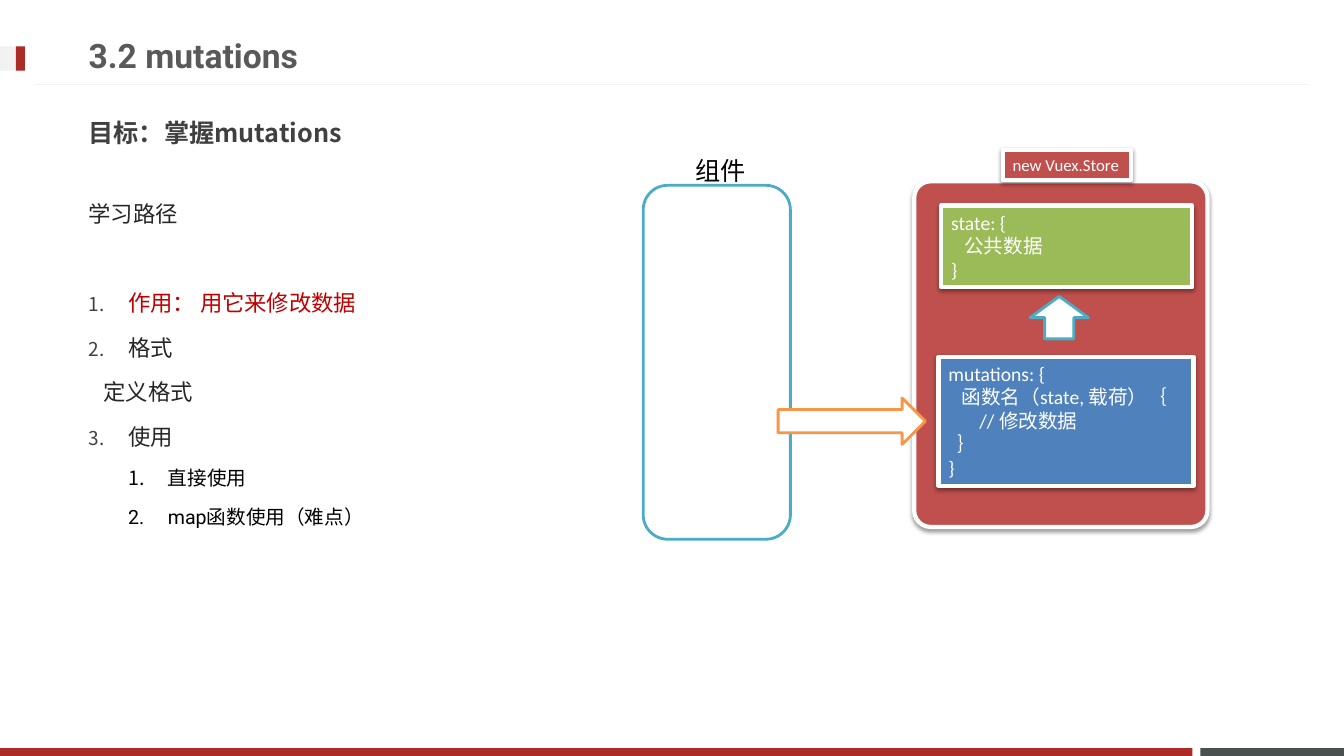
from dataclasses import dataclass

import pptx
import pptx.dml.color
import pptx.enum.shapes
import pptx.enum.text
import pptx.oxml
import pptx.oxml.ns
import pptx.util
from lxml import etree

Cm = pptx.util.Cm
Pt = pptx.util.Pt
qn = pptx.oxml.ns.qn
SHAPE = pptx.enum.shapes.MSO_SHAPE
ANCHOR = pptx.enum.text.MSO_ANCHOR


@dataclass(frozen=True)
class Theme:
    brand: str = "AD2B26"
    slate: str = "49504F"
    pale: str = "F2F2F2"
    heading: str = "595959"
    goal: str = "404040"
    body: str = "262626"
    accent: str = "C00000"
    black: str = "000000"
    white: str = "FFFFFF"
    store: str = "C0504D"
    state: str = "9BBB59"
    mutations: str = "4F81BD"
    component: str = "4BACC6"
    commit: str = "F79646"
    sans: str = "Noto Sans CJK JP"
    latin: str = "Roboto"
    code: str = "Calibri"
    title_size: int = 24
    goal_size: int = 18
    path_size: int = 16
    code_size: int = 14
    label_size: int = 12


THEME = Theme()


def rgb(value):
    return pptx.dml.color.RGBColor.from_string(value)


def style(paragraph, size, color, typeface, bold=False):
    paragraph.alignment = pptx.enum.text.PP_ALIGN.LEFT
    font = paragraph.font
    font.size = Pt(size)
    font.bold = bold
    font.color.rgb = rgb(color)
    font.name = typeface
    latin = paragraph._p.pPr.find(qn("a:defRPr")).find(qn("a:latin"))
    east_asian = etree.Element(qn("a:ea"), typeface=THEME.sans)
    latin.addnext(east_asian)


def write(frame, lines, size, color, typeface, bold=False, anchor=ANCHOR.TOP):
    frame.word_wrap = True
    frame.auto_size = pptx.enum.text.MSO_AUTO_SIZE.NONE
    frame.vertical_anchor = anchor
    for index, line in enumerate(lines):
        paragraph = frame.add_paragraph() if index else frame.paragraphs[0]
        paragraph.text = line
        style(paragraph, size, color, typeface, bold)


def add_text(slide, box, lines, *font, **options):
    textbox = slide.shapes.add_textbox(*map(Cm, box))
    write(textbox.text_frame, lines, *font, **options)


def add_block(slide, kind, box, fill, line=None, width=0):
    block = slide.shapes.add_shape(kind, *map(Cm, box))
    block.shadow.inherit = False
    block.fill.solid()
    block.fill.fore_color.rgb = rgb(fill)
    if line:
        block.line.color.rgb = rgb(line)
        block.line.width = Pt(width)
    else:
        block.line.fill.background()
    return block


def add_card(slide, kind, box, fill, lines=(), size=THEME.code_size):
    card = add_block(slide, kind, box, fill, THEME.white, 3)
    effects = card._element.spPr.find(qn("a:effectLst"))
    shadow = etree.SubElement(effects, qn("a:outerShdw"), blurRad=str(Pt(3.1)),
                              dist=str(Pt(1.6)), dir="5400000", rotWithShape="0")
    tint = etree.SubElement(shadow, qn("a:srgbClr"), val=THEME.black)
    etree.SubElement(tint, qn("a:alpha"), val="38000")
    if lines:
        write(card.text_frame, lines, size, THEME.white, THEME.code)
    return card


def number(paragraph, margin, start, marker_color=None):
    properties = paragraph._p.get_or_add_pPr()
    properties.set("marL", str(Cm(margin)))
    properties.set("indent", str(Cm(-1)))
    if marker_color:
        color = etree.SubElement(properties, qn("a:buClr"))
        etree.SubElement(color, qn("a:srgbClr"), val=marker_color)
        etree.SubElement(properties, qn("a:buSzPct"), val="85000")
    marker = etree.SubElement(properties, qn("a:buAutoNum"), type="arabicPeriod")
    if start > 1:
        marker.set("startAt", str(start))


def add_learning_path(slide):
    frame = slide.shapes.add_textbox(*map(Cm, (1.98, 4.57, 29.77, 11.71))).text_frame
    frame.word_wrap = True
    steps = [
        ("学习路径", 0, None, THEME.body, 0),
        ("作用： 用它来修改数据", 0, 1, THEME.accent, 35),
        ("格式", 0, 1, THEME.body, 3.2),
        ("定义格式", 0, None, THEME.body, 3.2),
        ("使用", 0, 3, THEME.body, 3.2),
        ("直接使用", 1, 1, THEME.black, 2.8),
        ("map函数使用（难点）", 1, 1, THEME.black, 2.8),
    ]
    for index, (text, level, start, color, space) in enumerate(steps):
        paragraph = frame.add_paragraph() if index else frame.paragraphs[0]
        paragraph.text = text
        paragraph.level = level
        paragraph.line_spacing = 1.5
        paragraph.space_before = Pt(space)
        if start:
            number(paragraph, level + 1, start, None if level else THEME.goal)
        elif index:
            paragraph._p.get_or_add_pPr().set("marL", str(Cm(0.38)))
        if level:
            style(paragraph, THEME.code_size, color, THEME.latin)
        else:
            style(paragraph, THEME.path_size, color, THEME.sans)


def add_frame(slide):
    for box, color in (
        ((30.25, 18.85, 3.62, 0.2), THEME.slate),
        ((0, 18.85, 30.05, 0.2), THEME.brand),
        ((0, 1.17, 0.63, 0.61), THEME.pale),
        ((0.4, 1.17, 0.23, 0.61), THEME.brand),
    ):
        add_block(slide, SHAPE.RECTANGLE, box, color)
    rule = slide.shapes.add_connector(pptx.enum.shapes.MSO_CONNECTOR.STRAIGHT,
                                      *map(Cm, (32.97, 2.13, 0.89, 2.13)))
    rule.line.color.rgb = rgb(THEME.pale)
    rule.line.width = Pt(0.75)
    etree.SubElement(rule._element.spPr, qn("a:effectLst"))


def add_title(slide):
    title = slide.shapes.title
    title.left, title.top, title.width, title.height = map(Cm, (1.98, 0.66, 24.36, 1.45))
    write(title.text_frame, ["3.2 mutations"], THEME.title_size, THEME.heading,
          THEME.latin, bold=True, anchor=ANCHOR.MIDDLE)


def add_store_diagram(slide):
    store = add_card(slide, SHAPE.ROUNDED_RECTANGLE, (23.04, 4.57, 7.39, 8.71), THEME.store)
    store.adjustments[0] = 0.056
    add_card(slide, SHAPE.RECTANGLE, (23.72, 5.18, 6.32, 2.06), THEME.state,
             ["state: {", "   公共数据", "}"])
    add_card(slide, SHAPE.RECTANGLE, (23.65, 8.99, 6.43, 3.25), THEME.mutations,
             ["mutations: {", "   函数名（state, 载荷）｛", "       // 修改数据", "  ｝", "}"])
    add_card(slide, SHAPE.RECTANGLE, (25.27, 3.78, 3.23, 0.76), THEME.store,
             ["new Vuex.Store"], THEME.label_size)
    for kind, box, line in (
        (SHAPE.UP_ARROW, (25.96, 7.47, 1.47, 1.07), THEME.component),
        (SHAPE.ROUNDED_RECTANGLE, (16.21, 4.67, 3.71, 8.92), THEME.component),
        (SHAPE.RIGHT_ARROW, (19.61, 10.03, 3.71, 1.17), THEME.commit),
    ):
        add_block(slide, kind, box, THEME.white, line, 2)
    add_text(slide, (17.27, 3.78, 2.18, 1.02), ["组件"],
             THEME.goal_size, THEME.black, THEME.code)


def main():
    presentation = pptx.Presentation()
    presentation.slide_width = Cm(33.87)
    presentation.slide_height = Cm(19.05)
    slide = presentation.slides.add_slide(presentation.slide_layouts[5])
    add_frame(slide)
    add_title(slide)
    add_text(slide, (1.98, 2.62, 29.77, 1.45), ["目标：掌握mutations"], THEME.goal_size,
             THEME.goal, THEME.sans, bold=True, anchor=ANCHOR.MIDDLE)
    add_learning_path(slide)
    add_store_diagram(slide)
    presentation.save("out.pptx")


if __name__ == "__main__":
    main()
